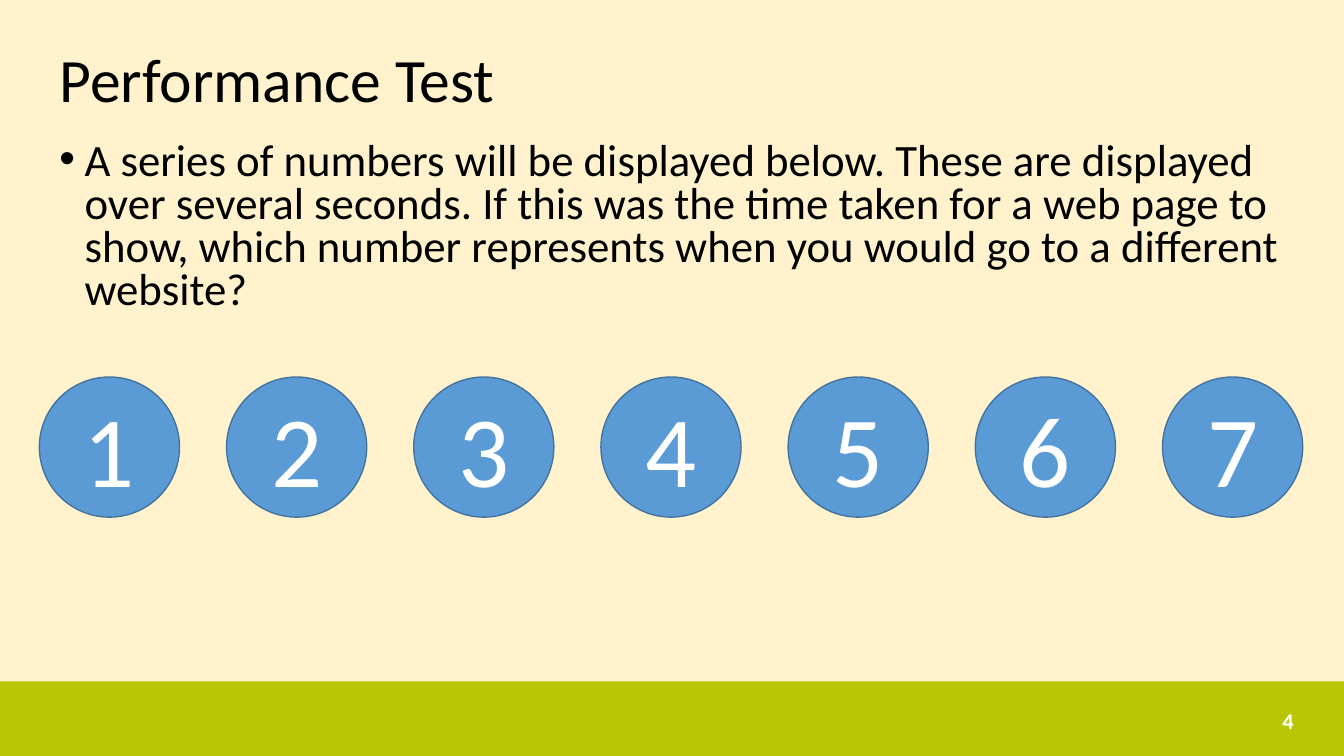
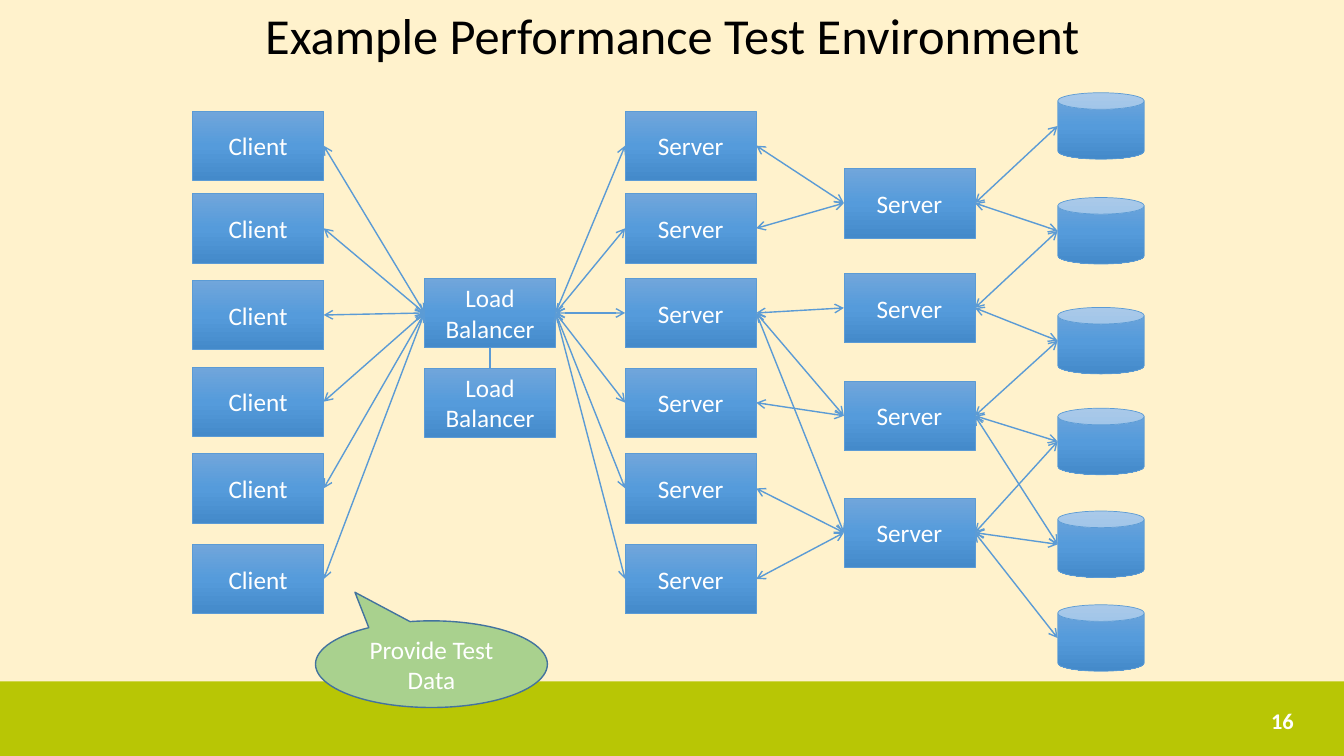
from collections import namedtuple
from dataclasses import dataclass

from lxml import etree
from pptx import Presentation
from pptx.dml.color import RGBColor as RGB
from pptx.enum.shapes import MSO_CONNECTOR as CONN, MSO_SHAPE as SHAPE
from pptx.enum.text import MSO_ANCHOR as ANCHOR, MSO_AUTO_SIZE as AUTO, PP_ALIGN as ALIGN
from pptx.oxml import parse_xml
from pptx.oxml.ns import nsdecls, qn
from pptx.util import Inches, Pt

Box = namedtuple("Box", "x y w h")
TOP, LEFT, BOTTOM, RIGHT = range(4)


@dataclass(frozen=True)
class Theme:
    font: str = "Calibri"
    cream: RGB = RGB(0xFF, 0xF2, 0xCC)
    lime: RGB = RGB(0xB8, 0xC6, 0x05)
    blue: RGB = RGB(0x5B, 0x9B, 0xD5)
    navy: RGB = RGB(0x43, 0x73, 0x9E)
    green: RGB = RGB(0xA9, 0xD1, 0x8E)
    black: RGB = RGB(0, 0, 0)
    white: RGB = RGB(0xFF, 0xFF, 0xFF)
    gradient: tuple = ((0, "71A6DB"), (50, "559BDB"), (100, "448ACA"))
    title: int = 44
    diagram_title: int = 36
    body: int = 32
    digit: int = 72
    label: int = 18
    number: int = 16


T = Theme()
WIDTH, HEIGHT = 13.33, 7.5
BAND = Box(0, 6.76, WIDTH, 0.74)

# Tops of the parts in each column, measured from the top of the diagram
CLIENT_TOPS = (0.18, 1, 1.86, 2.72, 3.58, 4.48)
BALANCER_TOPS = (1.84, 2.73)
WEB_TOPS = (0.18, 1, 1.84, 2.73, 3.58, 4.48)
APP_TOPS = (0.75, 1.79, 2.86, 4.02)
DATABASE_TOPS = (0, 1.04, 2.13, 3.13, 4.15, 5.08)
# Indexes of the joined parts: (left column, right column)
WEB_TO_APP = ((0, 0), (1, 0), (2, 1), (2, 2), (2, 3), (3, 2), (4, 3), (5, 3))
APP_TO_DATABASE = ((0, 0), (0, 1), (1, 2), (1, 1), (2, 2), (2, 3),
                   (2, 4), (3, 3), (3, 4), (3, 5))


def inches(box):
    return [Inches(v) for v in box]


def assign(obj, formats):
    for name, value in formats.items():
        setattr(obj, name, value)


def write(sp, text, size, color=T.white, align=ALIGN.CENTER, anchor=ANCHOR.MIDDLE,
          bold=False, spacing=1.0):
    tf = sp.text_frame
    assign(tf, {"word_wrap": True, "auto_size": AUTO.NONE, "vertical_anchor": anchor})
    p = tf.paragraphs[0]
    assign(p, {"alignment": align, "line_spacing": spacing})
    r = p.add_run()
    r.text = text
    assign(r.font, {"name": T.font, "size": Pt(size), "bold": bold})
    r.font.color.rgb = color
    return p


def add_shape(slide, kind, box, fill=None, line=None, width=1):
    """Add a flat shape; without a fill it gets the theme's gradient."""
    sp = slide.shapes.add_shape(kind, *inches(box))
    sp.shadow.inherit = False
    if fill is None:
        stops = "".join(f'<a:gs pos="{pos * 1000}"><a:srgbClr val="{rgb}"/></a:gs>'
                        for pos, rgb in T.gradient)
        sp._element.spPr.find(qn("a:prstGeom")).addnext(parse_xml(
            f'<a:gradFill {nsdecls("a")} rotWithShape="1"><a:gsLst>{stops}</a:gsLst>'
            '<a:lin ang="5400000" scaled="0"/></a:gradFill>'))
    else:
        sp.fill.solid()
        sp.fill.fore_color.rgb = fill
    if line is None:
        sp.line.fill.background()
    else:
        sp.line.color.rgb = line
        sp.line.width = Pt(width)
    return sp


def add_link(slide, start, end, sides=(RIGHT, LEFT), arrows=True):
    """Join two parts; cylinders have other joining sites, so they only get an end point."""
    x, y = end.left, end.top + end.height // 2
    c = slide.shapes.add_connector(CONN.STRAIGHT, x, y, x, y)
    c.begin_connect(start, sides[0])
    if end.auto_shape_type != SHAPE.CAN:
        c.end_connect(end, sides[1])
    c.line.color.rgb = T.blue
    c.line.width = Pt(1)
    if arrows:
        ln = c.line._get_or_add_ln()
        for tag in ("a:headEnd", "a:tailEnd"):
            etree.SubElement(ln, qn(tag), type="arrow")
    etree.SubElement(c._element.spPr, qn("a:effectLst"))


def add_base(prs, title, box, size, number, align=ALIGN.LEFT):
    """Add a slide with its title, bottom band and slide number."""
    slide = prs.slides.add_slide(prs.slide_layouts[5])
    add_shape(slide, SHAPE.RECTANGLE, BAND, T.lime)
    sp = slide.shapes.title
    assign(sp, dict(zip(("left", "top", "width", "height"), inches(box))))
    write(sp, title, size, T.black, align, spacing=0.9)
    tb = slide.shapes.add_textbox(*inches(Box(9.42, BAND.y + 0.19, 3.51, 0.4)))
    write(tb, number, T.number, align=ALIGN.RIGHT, bold=True)
    return slide


def add_bullet(slide, box, text):
    tb = slide.shapes.add_textbox(*inches(box))
    p = write(tb, text, T.body, T.black, ALIGN.LEFT, ANCHOR.TOP, spacing=0.8)
    pPr = p._p.get_or_add_pPr()
    indent = Inches(0.25)
    pPr.set("marL", str(indent))
    pPr.set("indent", str(-indent))
    etree.SubElement(pPr, qn("a:buFont"), typeface="Arial")
    etree.SubElement(pPr, qn("a:buChar"), char="•")


def add_number_row(slide, box, count):
    pitch = (box.w - box.h) / (count - 1)
    for i in range(count):
        circle = Box(box.x + i * pitch, box.y, box.h, box.h)
        sp = add_shape(slide, SHAPE.OVAL, circle, T.blue, T.navy)
        write(sp, str(i + 1), T.digit)


def add_column(slide, box, tops, label=None):
    """Stack parts of the box's size at the given tops; unlabelled ones are cylinders."""
    kind = SHAPE.RECTANGLE if label else SHAPE.CAN
    parts = [add_shape(slide, kind, box._replace(y=box.y + top), line=T.blue, width=0.5)
             for top in tops]
    if label:
        for sp in parts:
            write(sp, label, T.label)
    return parts


def add_environment(slide, box):
    node = Box(box.x, box.y, 1.3, 0.69)

    def node_column(dx, tops, label):
        return add_column(slide, node._replace(x=box.x + dx), tops, label)

    clients = node_column(0, CLIENT_TOPS, "Client")
    balancers = node_column(2.3, BALANCER_TOPS, "Load Balancer")
    webs = node_column(4.29, WEB_TOPS, "Server")
    apps = node_column(6.46, APP_TOPS, "Server")
    can = Box(box.x + box.w - 0.86, box.y, 0.86, 0.66)
    databases = add_column(slide, can, DATABASE_TOPS)

    main, spare = balancers
    links = [(client, main) for client in clients]
    links += [(main, web) for web in webs]
    links += [(webs[i], apps[j]) for i, j in WEB_TO_APP]
    links += [(apps[i], databases[j]) for i, j in APP_TO_DATABASE]
    for start, end in links:
        add_link(slide, start, end)
    add_link(slide, main, spare, (BOTTOM, TOP), arrows=False)


def add_callout(slide, box, text):
    sp = add_shape(slide, SHAPE.OVAL_CALLOUT, box, T.green, T.navy)
    sp.adjustments[0], sp.adjustments[1] = -0.33, -0.83
    write(sp, text, T.label)


def question_slide(prs):
    slide = add_base(prs, "Performance Test", Box(0.49, 0.27, 12.43, 1.09), T.title, "4")
    add_bullet(slide, Box(0.49, 1.36, 12.43, 1.95),
               "A series of numbers will be displayed below. These are displayed over "
               "several seconds. If this was the time taken for a web page to show, which "
               "number represents when you would go to a different website?")
    add_number_row(slide, Box(0.39, 3.74, 12.53, 1.39), 7)


def environment_slide(prs):
    slide = add_base(prs, "Example Performance Test Environment", Box(2.17, 0, 9, 0.76),
                     T.diagram_title, "16", ALIGN.CENTER)
    add_environment(slide, Box(1.91, 0.92, 9.44, 5.74))
    add_callout(slide, Box(3.13, 6.16, 2.3, 0.86), "Provide Test Data")


def main():
    prs = Presentation()
    prs.slide_width, prs.slide_height = Inches(WIDTH), Inches(HEIGHT)
    fill = prs.slide_master.background.fill
    fill.solid()
    fill.fore_color.rgb = T.cream
    question_slide(prs)
    environment_slide(prs)
    prs.save("out.pptx")


if __name__ == "__main__":
    main()
